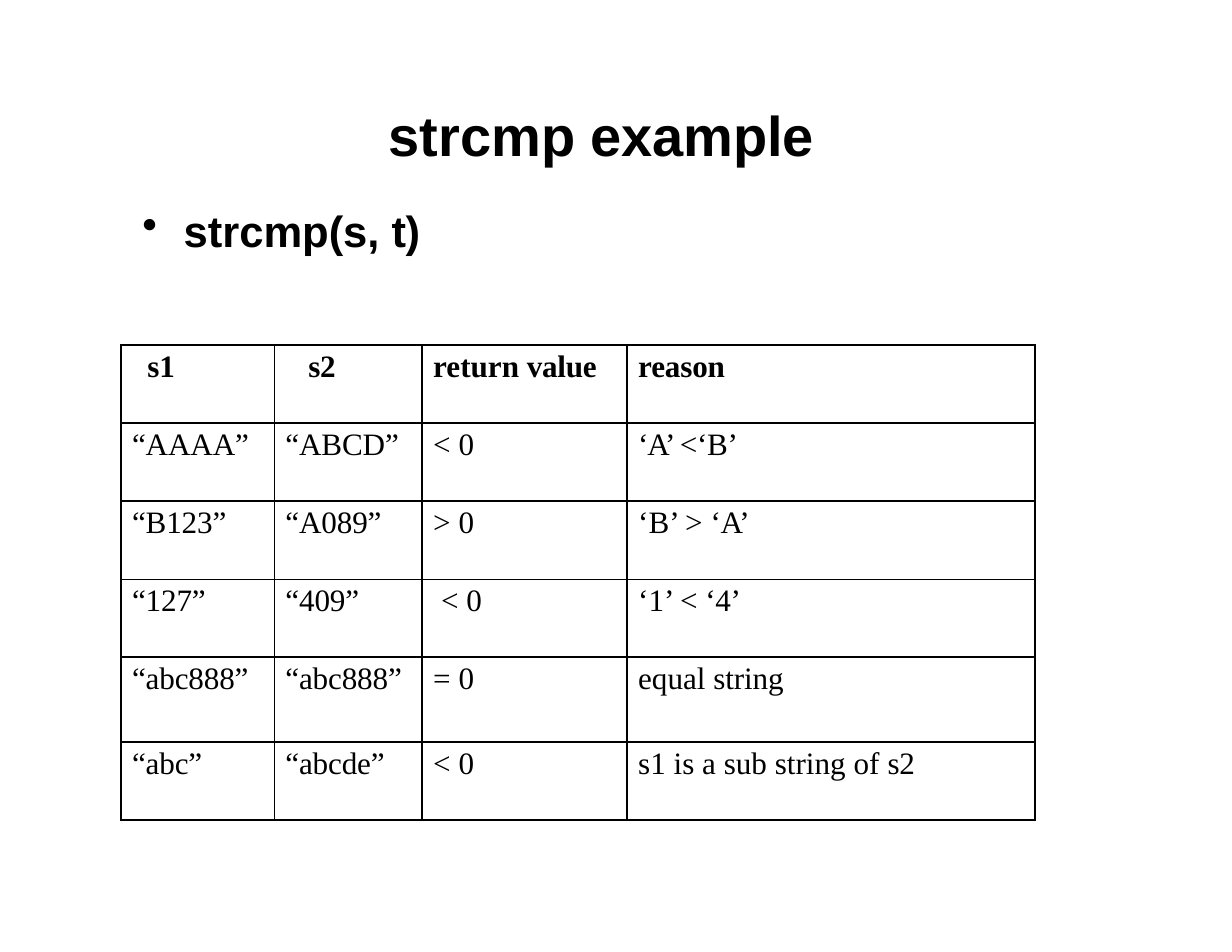
"""Build the strcmp example slide."""
from dataclasses import dataclass

from lxml.etree import SubElement
from pptx import Presentation
from pptx.dml.color import RGBColor
from pptx.oxml.ns import qn
from pptx.util import Pt


@dataclass(frozen=True)
class Theme:
    """Hold the colours, fonts and sizes of the slide."""
    ink: str = "000000"
    heading_font: str = "Arial"
    table_font: str = "Times New Roman"
    title_size: float = 36
    bullet_size: float = 28
    table_size: float = 20
    thin_line: float = 1
    thick_line: float = 1.5


THEME = Theme()
COLUMN_WIDTHS = (98.6, 95, 131.8, 262.1)
ROW_HEIGHTS = (50.2, 50.2, 50.2, 50.2, 54.4, 50.2)
CELL_INDENT = 7.1
INDENTS = {(0, 0): 17, (0, 1): 21.8, (3, 2): 12.2}
LESS = (("< ", 0), ("0", -0.5))
GREATER = (("> ", 0), ("0", -0.5))
EQUAL = (("= ", 0), ("0", -0.5))
ROWS = (
    ((("s1", -0.2),), (("s2", -0.2),),
     (("return ", 0), ("value", -0.2)), (("reason", -0.1),)),
    ((("“AAAA”", -0.1),), (("“ABCD”", -0.1),),
     LESS, (("‘A’ ", -0.8), ("<‘B’", -0.2))),
    ((("“B123”", -0.1),), (("“A089”", -0.1),),
     GREATER, (("‘B’ > ", 0), ("‘A’", -0.2))),
    ((("“127”", -0.1),), (("“409”", -0.1),),
     LESS, (("‘1’ < ", 0), ("‘4’", -0.2))),
    ((("“abc888”", -0.1),), (("“abc888”", -0.1),),
     EQUAL, (("equal ", 0), ("string", -0.1))),
    ((("“abc”", -0.1),), (("“abcde”", -0.1),),
     LESS, (("s1 is a sub string of ", 0), ("s2", -0.2))),
)


def add_runs(paragraph, runs, font_name, size, bold):
    """Add each text with its letter spacing in points."""
    for text, spacing in runs:
        run = paragraph.add_run()
        run.text = text
        run.font.name = font_name
        run.font.size = Pt(size)
        run.font.bold = bold
        run.font.color.rgb = RGBColor.from_string(THEME.ink)
        if spacing:
            run.font._element.set("spc", str(round(spacing * 100)))


def set_indent(paragraph, left, first=0):
    """Set the left margin and first-line indent in points."""
    properties = paragraph._p.get_or_add_pPr()
    properties.set("marL", str(Pt(left)))
    properties.set("indent", str(Pt(first)))
    return properties


def add_text(slide, left, top, width, height):
    """Add a wrapping text box without insets and return its paragraph."""
    frame = slide.shapes.add_textbox(Pt(left), Pt(top), Pt(width), Pt(height)).text_frame
    frame.word_wrap = True
    frame.margin_left = frame.margin_right = frame.margin_bottom = 0
    frame.margin_top = Pt(1)
    return frame.paragraphs[0]


def add_title(slide):
    """Add the slide title."""
    paragraph = add_text(slide, 69.1, 63.4, 635.8, 45.4)
    set_indent(paragraph, 180.7)
    add_runs(paragraph, (("strcmp ", 0), ("example", -0.1)),
             THEME.heading_font, THEME.title_size, True)


def add_bullet(slide):
    """Add the bulleted function call."""
    paragraph = add_text(slide, 90, 130.3, 181.4, 35.3)
    properties = set_indent(paragraph, 28.1, -26.6)
    SubElement(properties, qn("a:buChar"), char="•")
    tabs = SubElement(properties, qn("a:tabLst"))
    SubElement(tabs, qn("a:tab"), pos=str(Pt(28.1)), algn="l")
    add_runs(paragraph, (("strcmp(s, ", 0), ("t)", -0.2)),
             THEME.heading_font, THEME.bullet_size, True)


def set_borders(cell, row, column):
    """Draw thick outer edges and a thick line below every second row."""
    last = len(COLUMN_WIDTHS) - 1
    thick_sides = {"L": column == 0, "R": column == last,
                   "T": row % 2 == 0, "B": row % 2 == 1}
    properties = cell._tc.get_or_add_tcPr()
    for position, (side, thick) in enumerate(thick_sides.items()):
        width = THEME.thick_line if thick else THEME.thin_line
        line = SubElement(properties, qn(f"a:ln{side}"), w=str(Pt(width)))
        properties.insert(position, line)
        fill = SubElement(line, qn("a:solidFill"))
        SubElement(fill, qn("a:srgbClr"), val=THEME.ink)


def add_comparison_table(slide):
    """Add the table of compared strings and results."""
    frame = slide.shapes.add_table(
        len(ROW_HEIGHTS), len(COLUMN_WIDTHS), Pt(77.8), Pt(221.8),
        Pt(sum(COLUMN_WIDTHS)), Pt(sum(ROW_HEIGHTS)))
    table = frame.table
    table.first_row = table.horz_banding = False
    for column, width in zip(table.columns, COLUMN_WIDTHS):
        column.width = Pt(width)
    for row, height in zip(table.rows, ROW_HEIGHTS):
        row.height = Pt(height)
    for row, contents in enumerate(ROWS):
        for column, runs in enumerate(contents):
            cell = table.cell(row, column)
            cell.margin_left = cell.margin_right = cell.margin_bottom = 0
            cell.margin_top = Pt(2.9)
            cell.fill.background()
            set_borders(cell, row, column)
            paragraph = cell.text_frame.paragraphs[0]
            set_indent(paragraph, INDENTS.get((row, column), CELL_INDENT))
            add_runs(paragraph, runs, THEME.table_font, THEME.table_size, row == 0)


def main():
    """Build and save the presentation."""
    presentation = Presentation()
    presentation.slide_width = Pt(792)
    presentation.slide_height = Pt(612)
    slide = presentation.slides.add_slide(presentation.slide_layouts[6])
    add_title(slide)
    add_bullet(slide)
    add_comparison_table(slide)
    presentation.save("out.pptx")


if __name__ == "__main__":
    main()
